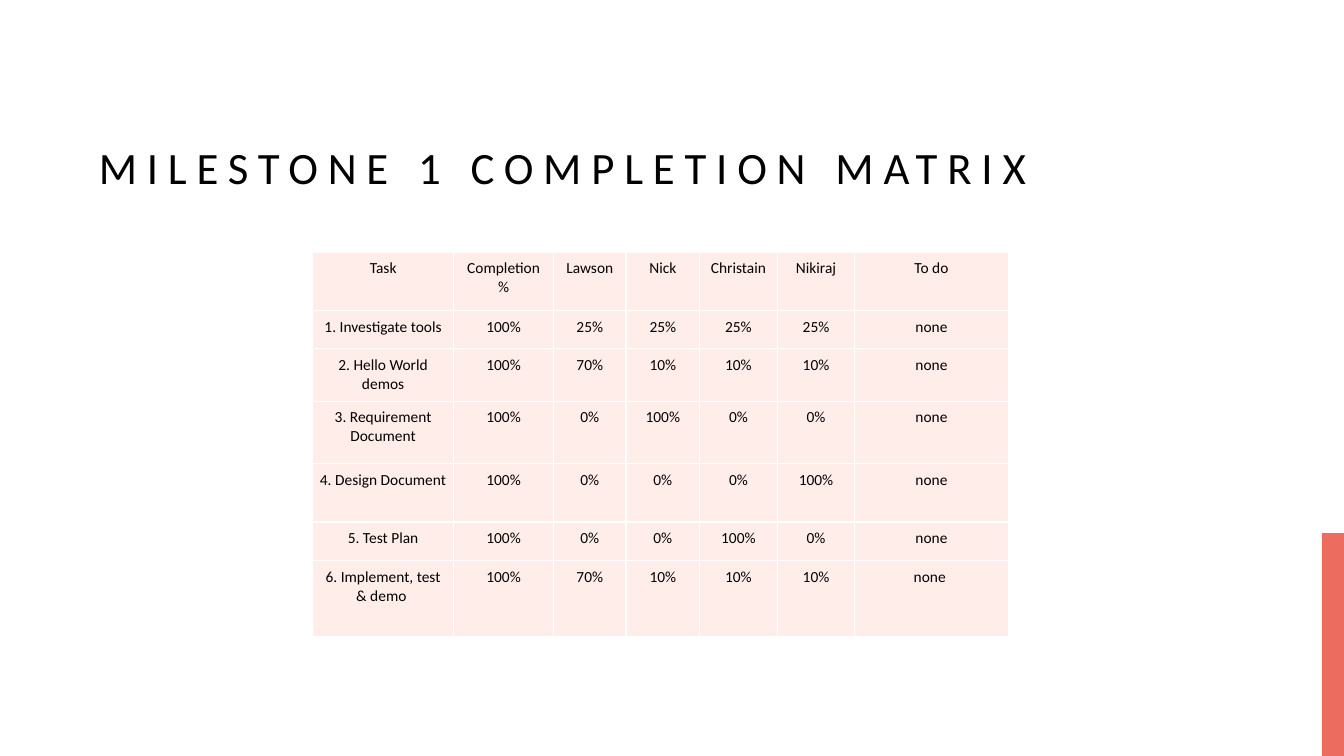
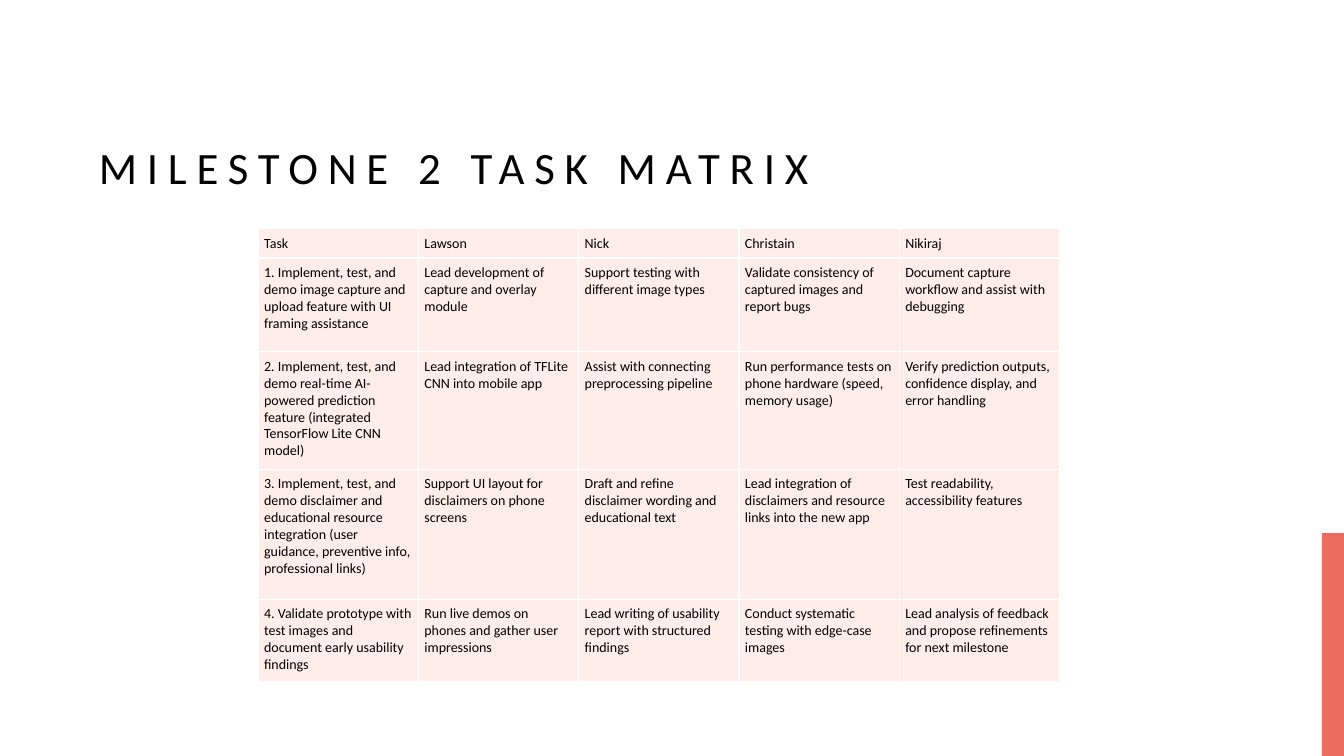
from lxml import etree
from pptx import Presentation
from pptx import util as u
from pptx.dml.color import RGBColor
from pptx.enum import shapes, text
from pptx.oxml import ns

INK, ACCENT, TINT, RULE = "000000", "EC6D60", "FFEDE9", "FFFFFF"

COMPLETION = [
    ["Task", "Completion %", "Lawson", "Nick", "Christain", "Nikiraj", "To do"],
    ["1. Investigate tools", "100%", "25%", "25%", "25%", "25%", "none"],
    ["2. Hello World demos", "100%", "70%", "10%", "10%", "10%", "none"],
    ["3. Requirement Document", "100%", "0%", "100%", "0%", "0%", "none"],
    ["4. Design Document", "100%", "0%", "0%", "0%", "100%", "none"],
    ["5. Test Plan", "100%", "0%", "0%", "100%", "0%", "none"],
    ["6. Implement, test & demo ", "100%", "70%", "10%", "10%", "10%", "none "],
]

TASKS = [
    ["Task", "Lawson", "Nick", "Christain", "Nikiraj"],
    ["1. Implement, test, and demo image capture and upload feature with UI framing assistance",
     "Lead development of capture and overlay module",
     "Support testing with different image types",
     "Validate consistency of captured images and report bugs",
     "Document capture workflow and assist with debugging"],
    ["2. Implement, test, and demo real-time AI-powered prediction feature "
     "(integrated TensorFlow Lite CNN model)",
     "Lead integration of TFLite CNN into mobile app",
     "Assist with connecting preprocessing pipeline",
     "Run performance tests on phone hardware (speed, memory usage)",
     "Verify prediction outputs, confidence display, and error handling"],
    ["3. Implement, test, and demo disclaimer and educational resource integration "
     "(user guidance, preventive info, professional links)",
     "Support UI layout for disclaimers on phone screens",
     "Draft and refine disclaimer wording and educational text",
     "Lead integration of disclaimers and resource links into the new app",
     "Test readability, accessibility features"],
    ["4. Validate prototype with test images and document early usability findings",
     "Run live demos on phones and gather user impressions",
     "Lead writing of usability report with structured findings",
     "Conduct systematic testing with edge-case images ",
     "Lead analysis of feedback and propose refinements for next milestone"],
]


def rgb(value):
    """Turn a hex string into a colour."""
    return RGBColor.from_string(value)


def assign(obj, values):
    """Set attributes of an object from a dict."""
    for name, value in values.items():
        setattr(obj, name, value)


class Deck:
    """Hold the shared style and the current slide."""

    font = "Calibri"

    def __init__(self):
        """Start an empty widescreen presentation."""
        self.prs = Presentation()
        assign(self.prs, {"slide_width": u.Inches(13.33), "slide_height": u.Inches(7.5)})

    def slide(self, title):
        """Add a slide with its title and corner bar."""
        self.current = self.prs.slides.add_slide(self.prs.slide_layouts[5])
        self.bar(13.11, 5.29, 0.23, 2.21)
        self.title(title)

    def bar(self, left, top, width, height):
        """Draw the accent bar."""
        sp = self.current.shapes.add_shape(
            shapes.MSO_SHAPE.RECTANGLE, *map(u.Inches, (left, top, width, height)))
        sp.shadow.inherit = False
        sp.fill.solid()
        sp.fill.fore_color.rgb = rgb(ACCENT)
        sp.line.fill.background()

    def title(self, words):
        """Place and format the title placeholder."""
        sp = self.current.shapes.title
        assign(sp, {"left": u.Inches(0.88), "top": u.Inches(0.4),
                    "width": u.Inches(11.33), "height": u.Inches(1.57)})
        assign(sp.text_frame, {"vertical_anchor": text.MSO_ANCHOR.BOTTOM,
                               "auto_size": text.MSO_AUTO_SIZE.NONE, "word_wrap": True})
        p = sp.text_frame.paragraphs[0]
        p.line_spacing = 1.2
        r = self.add_text(p, words, 32, text.PP_ALIGN.LEFT)
        r.font._element.set("spc", "700")

    def add_text(self, p, words, size, align):
        """Put one formatted run into a paragraph."""
        p.alignment = align
        r = p.add_run()
        r.text = words
        assign(r.font, {"name": self.font, "size": u.Pt(size), "bold": False})
        r.font.color.rgb = rgb(INK)
        return r

    def table(self, rows, left, top, widths, heights, size, inset, align):
        """Add a tinted table with thin rules."""
        frame = self.current.shapes.add_table(
            len(rows), len(widths), u.Inches(left), u.Inches(top),
            u.Inches(sum(widths)), u.Inches(sum(heights)))
        tbl = frame.table
        assign(tbl, {"first_row": False, "horz_banding": False})
        for column, width in zip(tbl.columns, widths):
            column.width = u.Inches(width)
        for row, height, values in zip(tbl.rows, heights, rows):
            row.height = u.Inches(height)
            for cell, words in zip(row.cells, values):
                sides = ("left", "right", "top", "bottom")
                assign(cell, {f"margin_{side}": u.Inches(inset) for side in sides})
                cell.fill.solid()
                cell.fill.fore_color.rgb = rgb(TINT)
                self.add_text(cell.text_frame.paragraphs[0], words, size, align)
                self.borders(cell)

    def borders(self, cell):
        """Rule all four sides of a cell."""
        props = cell._tc.get_or_add_tcPr()
        for i, tag in enumerate(("a:lnL", "a:lnR", "a:lnT", "a:lnB")):
            line = etree.Element(ns.qn(tag), w=str(u.Pt(1)))
            fill = etree.SubElement(line, ns.qn("a:solidFill"))
            etree.SubElement(fill, ns.qn("a:srgbClr"), val=RULE)
            props.insert(i, line)


def main():
    """Build and save both matrices."""
    deck = Deck()
    deck.slide("MILESTONE 1 COMPLETION MATRIX")
    deck.table(COMPLETION, 3.1, 2.5, [1.4, 0.99, 0.72, 0.73, 0.77, 0.77, 1.52],
               [0.58, 0.38, 0.52, 0.62, 0.58, 0.38, 0.76], 11, 0.07, text.PP_ALIGN.CENTER)
    deck.slide("MILESTONE 2 TASK MATRIX")
    deck.table(TASKS, 2.56, 2.27, [1.59] * 5,
               [0.29, 0.93, 1.17, 1.29, 0.81], 10, 0.06, text.PP_ALIGN.LEFT)
    deck.prs.save("out.pptx")


if __name__ == "__main__":
    main()
